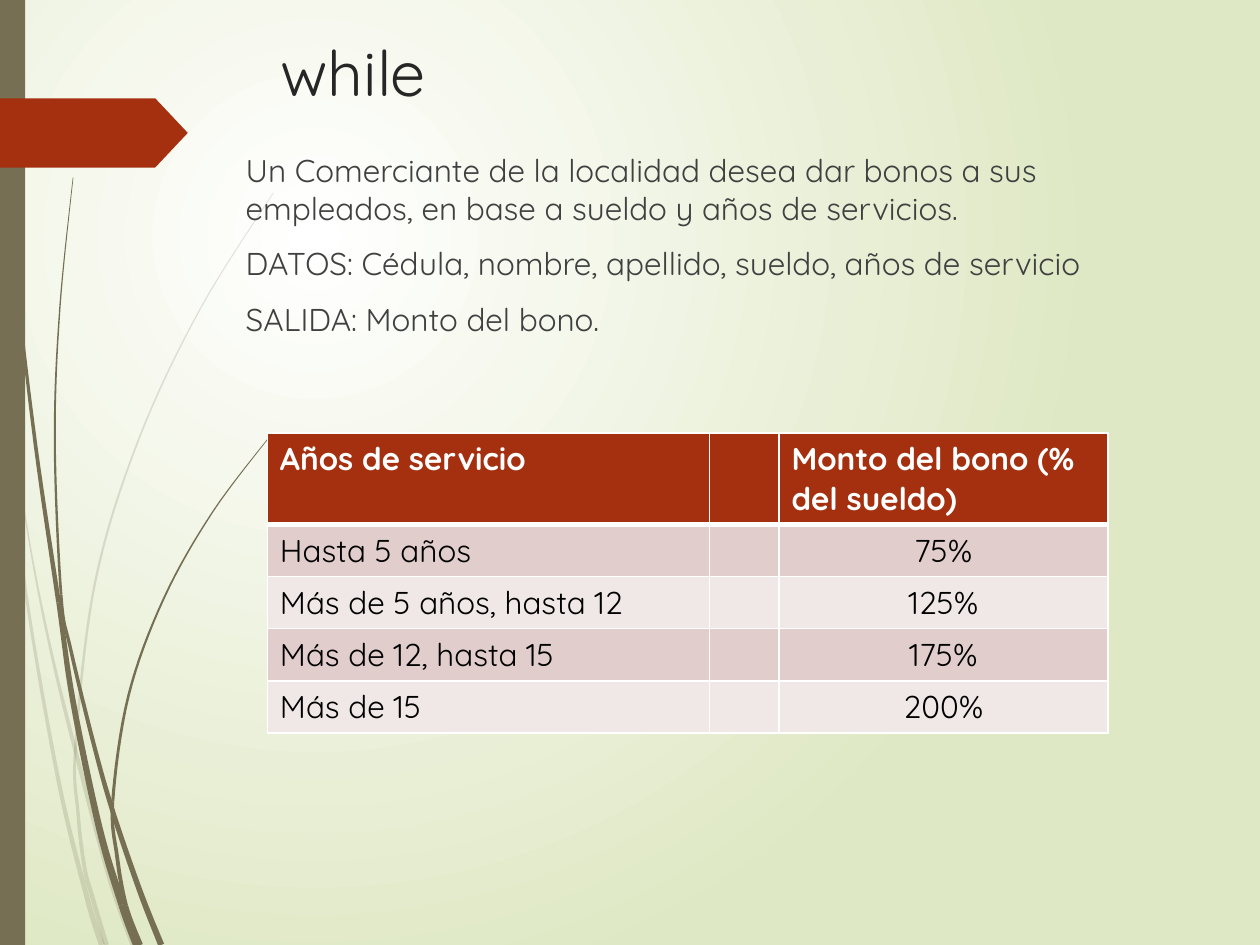
from dataclasses import dataclass
from math import hypot

from lxml.etree import SubElement as Sub
from pptx import Presentation
from pptx.dml.color import RGBColor as Rgb
from pptx.enum.shapes import MSO_SHAPE as Kind
from pptx.enum.text import MSO_ANCHOR as Anchor, MSO_AUTO_SIZE as Fit, PP_ALIGN as Align
from pptx.oxml.ns import qn
from pptx.util import Inches, Pt

WIDE, HIGH = Inches(10), Inches(7.5)
COLS, ROWS = 100, 75
STEPS = 8


@dataclass(frozen=True)
class Theme:
    """Colours, font and type sizes."""
    font: str = "Quicksand"
    white: str = "FFFFFF"
    mist: str = "DFE8C4"
    moss: str = "766F54"
    rust: str = "A53010"
    title: str = "262626"
    body: str = "404040"
    ink: str = "000000"
    bands: tuple = ("E1CDCC", "F0E8E7")
    large: int = 36
    text: int = 18


LOOK = Theme()

LINES = (
    "Un Comerciante de la localidad desea dar bonos a sus empleados, "
    "en base a sueldo y años de servicios.",
    "DATOS: Cédula, nombre, apellido, sueldo, años de servicio",
    "SALIDA: Monto del bono.",
)
BONUS = (
    ("Años de servicio", "", "Monto del bono (% del sueldo)"),
    ("Hasta 5 años", "", "75%"),
    ("Más de 5 años, hasta 12", "", "125%"),
    ("Más de 12, hasta 15", "", "175%"),
    ("Más de 15", "", "200%"),
)
PALE = (
    (0.5, (1, 4), ((0, 28.5), (0.8, 35), (2.05, 47), (4.65, 62), (6.95, 71.4),
                   (8.1, 75))),
    (0.5, (3,), ((1.05, 35), (2.6, 44.5), (4.15, 52.1), (6, 59.6), (8.6, 69.3),
                 (10.6, 75))),
    (0.4, (4, 7), ((21.7, 15.3), (15.9, 24.5), (11, 34.9), (7.55, 46.2),
                   (6, 59.2), (6.2, 64.6), (6.7, 68.8), (7.3, 71.1), (8.45, 75))),
)
DARK = (
    (0.7, (4, 7), ((0.25, 0), (0.55, 11), (1.45, 23.3), (2.85, 35.5), (4.65, 47.8),
                   (5.8, 55.7), (7.9, 65.8), (9.7, 71.8), (10.9, 75))),
    (0.5, (3, 6), ((5.8, 14.1), (4.75, 24.5), (4.35, 34.9), (4.85, 47.2),
                   (5.6, 51.5), (7.45, 59.1), (8.95, 64.4), (11.1, 70.7),
                   (12.8, 75))),
    (0.4, (4, 6), ((21.6, 34.4), (16.9, 40.6), (13, 47.5), (10.2, 55.2),
                   (8.95, 63.6), (9.3, 68), (10, 71.9), (11.15, 75))),
)


def col(n):
    """Length of n grid columns."""
    return round(WIDE * n / COLS)


def row(n):
    """Length of n grid rows."""
    return round(HIGH * n / ROWS)


def box(x, y, w, h):
    """Grid area as a left, top, width and height."""
    return col(x), row(y), col(w), row(h)


def put(obj, **vals):
    """Set each named value on an object."""
    for name, val in vals.items():
        setattr(obj, name, val)


def type_set(part, size, tint, bold=False):
    """Format the type of a paragraph."""
    put(part.font, name=LOOK.font, size=Pt(size), bold=bold)
    part.font.color.rgb = Rgb.from_string(tint)


def paint(shape, tint, alpha=100):
    """Give a shape a plain fill without line or shadow."""
    shape.fill.solid()
    shape.fill.fore_color.rgb = Rgb.from_string(tint)
    shape.line.fill.background()
    shape.shadow.inherit = False
    if alpha < 100:
        mark = shape._element.spPr.find(".//" + qn("a:srgbClr"))
        Sub(mark, qn("a:alpha"), val=str(alpha * 1000))


def backdrop(slide):
    """Fill the background with a round gradient."""
    fill = slide.background.fill
    fill.gradient()
    for stop, tint in zip(fill.gradient_stops, (LOOK.white, LOOK.mist)):
        stop.color.rgb = Rgb.from_string(tint)
    grad = slide._element.find(".//" + qn("a:gradFill"))
    grad.remove(grad.find(qn("a:lin")))
    way = Sub(grad, qn("a:path"), path="circle")
    Sub(way, qn("a:fillToRect"), l="50000", t="50000", r="100000", b="100000")


def spline(knots):
    """Points of a smooth curve through the knots."""
    ends = (knots[0], *knots, knots[-1])
    pts = []
    for a, b, c, d in zip(ends, ends[1:], ends[2:], ends[3:]):
        for t in (i / STEPS for i in range(STEPS)):
            pts.append(tuple(
                q + t * (r - p) / 2 + t * t * (p - 2.5 * q + 2 * r - s / 2)
                + t ** 3 * (1.5 * (q - r) + (s - p) / 2)
                for p, q, r, s in zip(a, b, c, d)))
    return pts + [knots[-1]]


def blade(slide, knots, cuts, thick, alpha):
    """Draw a grass blade in stretches, widening towards its foot."""
    pts = spline(knots)
    left, right = [], []
    for i, (x, y) in enumerate(pts):
        (ax, ay), (bx, by) = pts[max(i - 1, 0)], pts[min(i + 1, len(pts) - 1)]
        dx, dy = bx - ax, by - ay
        half = (0.05 + (thick - 0.05) * i / len(pts)) / 2 / hypot(dx, dy)
        left.append((col(x - dy * half), row(y + dx * half)))
        right.append((col(x + dy * half), row(y - dx * half)))
    for a, b in zip((0, *cuts), (*cuts, len(knots) - 1)):
        part = slice(a * STEPS, b * STEPS + 1)
        rim = left[part] + right[part][::-1]
        pen = slide.shapes.build_freeform(*rim[0])
        pen.add_line_segments(rim[1:], close=True)
        paint(pen.convert_to_shape(), LOOK.moss, alpha)


def plate(slide, kind, area, tint):
    """Draw a plain preset shape."""
    shape = slide.shapes.add_shape(kind, *box(*area))
    paint(shape, tint)
    return shape


def fill_in(slide, hold, area, lines, size, tint, gap=0, level=0):
    """Place a placeholder in front and write its lines."""
    slide.shapes._spTree.append(hold._element)
    put(hold, **dict(zip(("left", "top", "width", "height"), box(*area))))
    frame = hold.text_frame
    frame.text = "\n".join(lines)
    put(frame, word_wrap=True, auto_size=Fit.NONE, vertical_anchor=Anchor.TOP)
    for para in frame.paragraphs:
        put(para, level=level, alignment=Align.LEFT, space_before=Pt(gap))
        type_set(para, size, tint)
        props = para._p.get_or_add_pPr()
        props.set("marL", "0")
        props.set("indent", "0")
        Sub(props, qn("a:buNone"))


def edge(cell, **widths):
    """Draw white cell borders of the given widths."""
    props = cell._tc.get_or_add_tcPr()
    for side in "LRTB":
        line = Sub(props, qn("a:ln" + side), w=str(Pt(widths.get(side, 1))))
        Sub(Sub(line, qn("a:solidFill")), qn("a:srgbClr"), val=LOOK.white)


def grid(slide, area, cols, rows, data):
    """Add the table with a header and banded rows."""
    table = slide.shapes.add_table(len(data), len(cols), *box(*area)).table
    for part, wide in zip(table.columns, cols):
        part.width = col(wide)
    for part, high in zip(table.rows, rows):
        part.height = row(high)
    for r, texts in enumerate(data):
        head = r == 0
        rule = {"B": 3} if head else {"T": 3} if r == 1 else {}
        for c, text in enumerate(texts):
            cell = table.cell(r, c)
            edge(cell, **rule)
            cell.fill.solid()
            tint = LOOK.rust if head else LOOK.bands[(r - 1) % 2]
            cell.fill.fore_color.rgb = Rgb.from_string(tint)
            cell.text = text
            para = cell.text_frame.paragraphs[0]
            para.alignment = Align.CENTER if c == 2 and not head else Align.LEFT
            type_set(para, LOOK.text, LOOK.white if head else LOOK.ink, head)


def main():
    """Build and save the slide."""
    deck = Presentation()
    put(deck, slide_width=WIDE, slide_height=HIGH)
    slide = deck.slides.add_slide(deck.slide_layouts[1])
    title, body = slide.placeholders
    backdrop(slide)
    for group, alpha in ((PALE, 20), (DARK, 100)):
        for thick, cuts, knots in group:
            blade(slide, knots, cuts, thick, alpha)
    plate(slide, Kind.RECTANGLE, (0, 0, 2, ROWS), LOOK.moss)
    arrow = plate(slide, Kind.PENTAGON, (0, 7.8, 14.9, 5.5), LOOK.rust)
    arrow.adjustments[0] = 0.47
    fill_in(slide, title, (21.25, 2.15, 72.1, 9.4), ("while",), LOOK.large, LOOK.title)
    fill_in(slide, body, (18.5, 11.5, 72.1, 48), LINES, LOOK.text, LOOK.body, 10, 1)
    grid(slide, (21.22, 34.35, 66.7, 23.2), (35.1, 5.5, 26.1), (4.9, *[4.1] * 4), BONUS)
    deck.save("out.pptx")


if __name__ == "__main__":
    main()
